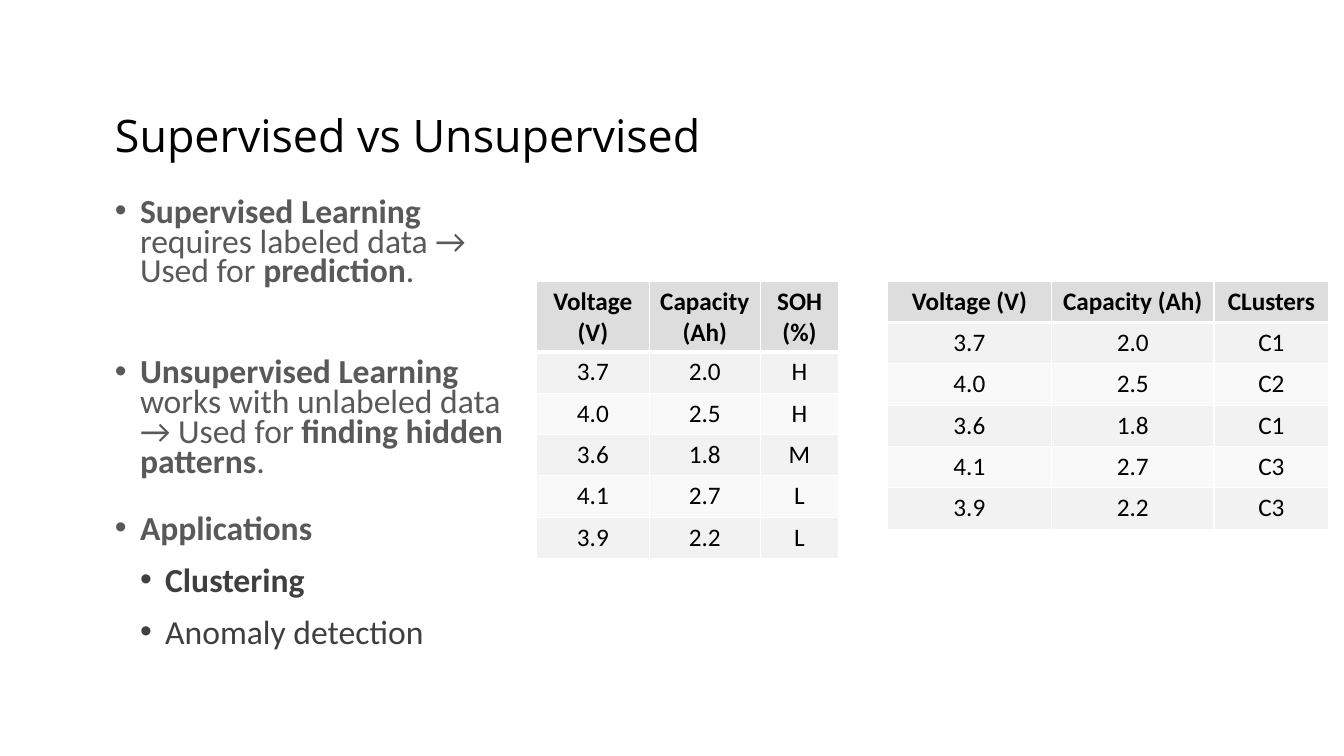
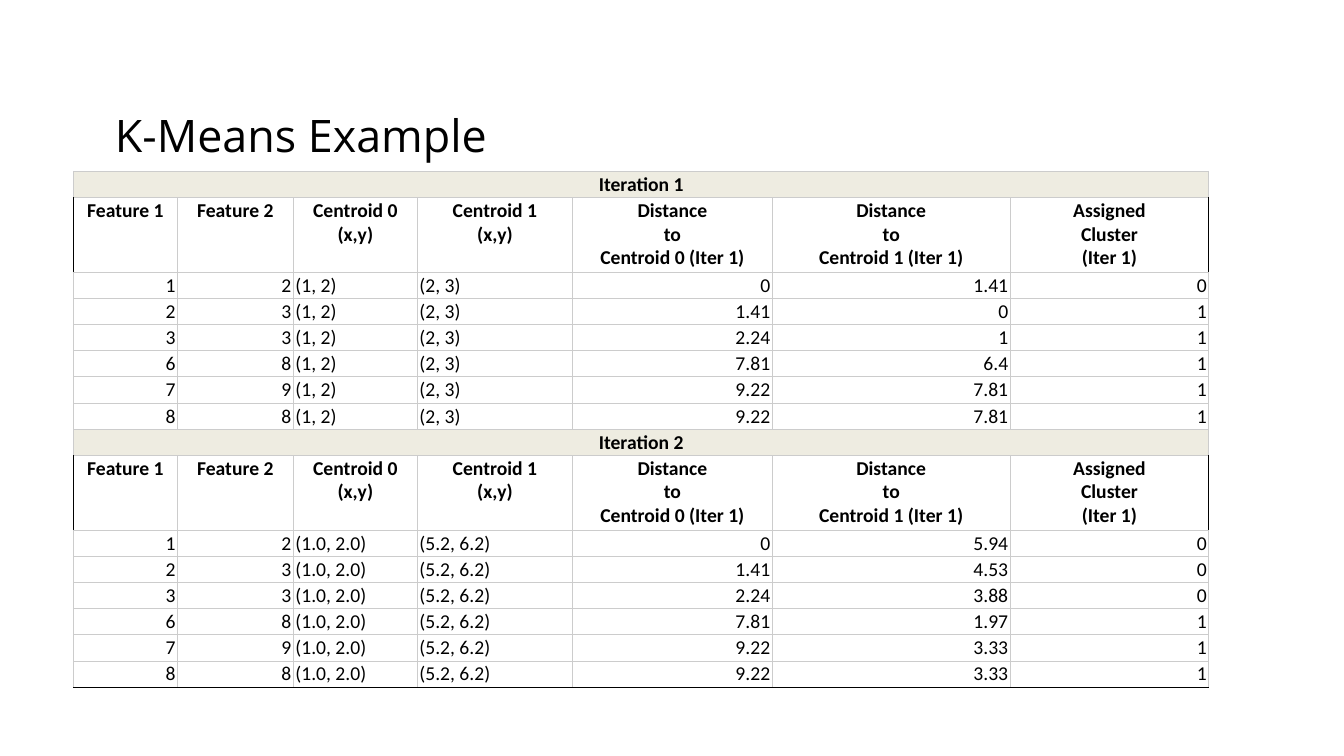
from lxml.etree import SubElement
from pptx import Presentation
from pptx.dml.color import RGBColor
from pptx.enum.text import MSO_ANCHOR as ANCHOR, MSO_AUTO_SIZE as AUTO_SIZE, PP_ALIGN as ALIGN
from pptx.oxml.ns import qn
from pptx.util import Inches, Pt

BLACK = RGBColor(0x00, 0x00, 0x00)
WHITE = RGBColor(0xFF, 0xFF, 0xFF)
DARK_GRAY = RGBColor(0x3F, 0x3F, 0x3F)
TEXT_GRAY = RGBColor(0x59, 0x59, 0x59)
GRID_GRAY = RGBColor(0xCC, 0xCC, 0xCC)
HEADER_GRAY = RGBColor(0xDD, 0xDD, 0xDD)
BAND_GRAYS = RGBColor(0xF9, 0xF9, 0xF9), RGBColor(0xF2, 0xF2, 0xF2)
BAND_CREAM = RGBColor(0xEE, 0xEC, 0xE1)

TITLE_FONT, BODY_FONT = "Open Sans", "Calibri"
TITLE_ONLY = 5
FINE_LINE = 0.75


def set_all(target, values):
    for name, value in values.items():
        setattr(target, name, value)


def margins(left, top, right, bottom):
    sides = {"left": left, "top": top, "right": right, "bottom": bottom}
    return {f"margin_{side}": Inches(size) for side, size in sides.items()}


class Slides:
    """Holds the deck, its shared style and the current slide."""

    def __init__(self):
        self.deck = Presentation()
        self.deck.slide_width, self.deck.slide_height = Inches(13.33), Inches(7.5)
        self.slide = None

    def add_slide(self, title):
        self.slide = self.deck.slides.add_slide(self.deck.slide_layouts[TITLE_ONLY])
        box = self.slide.shapes.title
        set_all(box, {"left": Inches(1.04), "top": Inches(0.91),
                      "width": Inches(10.36), "height": Inches(0.78)})
        set_all(box.text_frame, margins(0.1, 0.12, 0.1, 0.05) | {
            "word_wrap": True, "auto_size": AUTO_SIZE.NONE, "vertical_anchor": ANCHOR.MIDDLE})
        para = box.text_frame.paragraphs[0]
        set_all(para, {"alignment": ALIGN.LEFT, "line_spacing": Pt(38.4)})
        self.add_span(para, title, 32, BLACK, font=TITLE_FONT)

    def add_span(self, para, text, size, color, bold=False, font=BODY_FONT):
        span = para.add_run()
        span.text = text
        set_all(span.font, {"name": font, "size": Pt(size), "bold": bold})
        span.font.color.rgb = color

    def add_bullets(self, left, top, width, height, bullets):
        """Each bullet is (level, space before in points, [(text, bold), ...])."""
        box = self.slide.shapes.add_textbox(*map(Inches, (left, top, width, height)))
        frame = box.text_frame
        frame.word_wrap = True
        for index, (level, space, spans) in enumerate(bullets):
            para = frame.add_paragraph() if index else frame.paragraphs[0]
            properties = para._p.get_or_add_pPr()
            properties.set("marL", str(Inches(0.25 * (level + 1))))
            properties.set("indent", str(-Inches(0.25)))
            SubElement(properties, qn("a:buFont"), typeface="Arial")
            SubElement(properties, qn("a:buChar"), char="•")
            set_all(para, {"level": level, "line_spacing": Pt(21.2), "space_before": Pt(space)})
            for text, bold in spans:
                self.add_span(para, text, 24, DARK_GRAY if level else TEXT_GRAY, bold)

    def add_table(self, left, top, widths, heights):
        frame = self.slide.shapes.add_table(
            len(heights), len(widths), Inches(left), Inches(top),
            Inches(sum(widths)), Inches(sum(heights)))
        table = frame.table
        table.horz_banding = False
        for column, width in zip(table.columns, widths):
            column.width = Inches(width)
        for row, height in zip(table.rows, heights):
            row.height = Inches(height)
        return table

    def fill_cell(self, cell, text, size, bold, alignment, fill, edges, layout=None):
        """Edges map L, R, T and B to (colour, width in points)."""
        set_all(cell, layout or {})
        properties = cell._tc.get_or_add_tcPr()
        for side in "LRTB":
            color, width = edges[side]
            line = SubElement(properties, qn(f"a:ln{side}"), w=str(Pt(width)))
            solid = SubElement(line, qn("a:solidFill"))
            SubElement(solid, qn("a:srgbClr"), val=str(color))
        cell.fill.solid()
        cell.fill.fore_color.rgb = fill
        para = cell.text_frame.paragraphs[0]
        para.alignment = alignment
        for index, line in enumerate(text.split("\n")):
            if index:
                para.add_line_break()
            self.add_span(para, line, size, BLACK, bold)

    def add_sample_table(self, left, widths, header_height, rows):
        heights = [header_height] + [0.41] * (len(rows) - 1)
        table = self.add_table(left, 2.79, widths, heights)
        for r, row in enumerate(rows):
            edges = dict.fromkeys("LRTB", (WHITE, 1))
            if r < 2:
                edges["T" if r else "B"] = (WHITE, 3)
            fill = BAND_GRAYS[r % 2] if r else HEADER_GRAY
            for c, text in enumerate(row):
                self.fill_cell(table.cell(r, c), text, 18, r == 0, ALIGN.CENTER, fill, edges)

    def add_iteration_table(self, left, top, widths, header, iterations):
        """Stack one block per iteration: a merged band, the header, the data rows."""
        rows, heights = [], []
        for name, data in iterations:
            rows += [("band", [name]), ("header", header)] + [("data", row) for row in data]
            heights += [0.26, 0.74] + [0.26] * len(data)
        table = self.add_table(left, top, widths, heights)
        last_row, last_column = len(rows) - 1, len(widths) - 1
        for r, (kind, row) in enumerate(rows):
            if kind == "band":
                table.cell(r, 0).merge(table.cell(r, last_column))
            layout = margins(0.02, 0.01, 0.02, 0.01)
            layout["vertical_anchor"] = ANCHOR.TOP if kind == "header" else ANCHOR.BOTTOM
            for c, text in enumerate(row):
                edges = dict.fromkeys("LRTB", (GRID_GRAY, FINE_LINE))
                dark_sides = {"L": kind == "header" and c == 0,
                              "R": kind == "header" and c == last_column,
                              "B": r == last_row}
                edges |= {side: (BLACK, FINE_LINE) for side, dark in dark_sides.items() if dark}
                if kind != "data":
                    alignment = ALIGN.CENTER
                else:
                    alignment = ALIGN.LEFT if text.startswith("(") else ALIGN.RIGHT
                fill = BAND_CREAM if kind == "band" else WHITE
                self.fill_cell(table.cell(r, c), text, 14, kind != "data",
                               alignment, fill, edges, layout)


SAMPLES = [("3.7", "2.0"), ("4.0", "2.5"), ("3.6", "1.8"), ("4.1", "2.7"), ("3.9", "2.2")]
POINTS = [("1", "2"), ("2", "3"), ("3", "3"), ("6", "8"), ("7", "9"), ("8", "8")]
FIRST_DISTANCES = ["0", "1.41", "2.24", "7.81", "9.22", "9.22"]


def labeled_samples(label, values):
    header = ("Voltage (V)", "Capacity (Ah)", label)
    return [header] + [(*sample, value) for sample, value in zip(SAMPLES, values)]


def iteration_rows(centroids, second_distances, clusters):
    return [(*point, *centroids, *results) for point, *results
            in zip(POINTS, FIRST_DISTANCES, second_distances, clusters)]


def build_learning_types(slides):
    slides.add_slide("Supervised vs Unsupervised")
    slides.add_bullets(1.04, 1.94, 4.29, 5.19, [
        (0, 0, [("Supervised Learning", True), (" requires labeled data → Used for ", False),
                ("prediction", True), (".", False)]),
        (0, 51, [("Unsupervised Learning", True),
                 (" works with unlabeled data → Used for ", False),
                 ("finding hidden patterns", True), (".", False)]),
        (0, 27, [("Applications", True)]),
        (1, 16, [("Clustering", True)]),
        (1, 16, [("Anomaly detection", False)]),
    ])
    slides.add_sample_table(5.32, [1.12, 1.1, 0.78], 0.7, labeled_samples("SOH (%)", "HHMLL"))
    slides.add_sample_table(8.8, [1.63, 1.61, 1.14], 0.41,
                            labeled_samples("CLusters", ["C1", "C2", "C1", "C3", "C3"]))


def build_k_means(slides):
    slides.add_slide("K-Means Example")
    header = ["Feature 1", "Feature 2", "Centroid 0\n(x,y)", "Centroid 1\n(x,y)",
              "Distance\nto\nCentroid 0 (Iter 1)", "Distance\nto\nCentroid 1 (Iter 1)",
              "Assigned\nCluster\n(Iter 1)"]
    first = iteration_rows(("(1, 2)", "(2, 3)"),
                           ["1.41", "0", "1", "6.4", "7.81", "7.81"], "011111")
    second = iteration_rows(("(1.0, 2.0)", "(5.2, 6.2)"),
                            ["5.94", "4.53", "3.88", "1.97", "3.33", "3.33"], "000111")
    slides.add_iteration_table(0.73, 1.7, [1.03, 1.15, 1.23, 1.54, 1.98, 2.36, 1.97], header,
                               [("Iteration 1", first), ("Iteration 2", second)])


def main():
    slides = Slides()
    build_learning_types(slides)
    build_k_means(slides)
    slides.deck.save("out.pptx")


if __name__ == "__main__":
    main()
